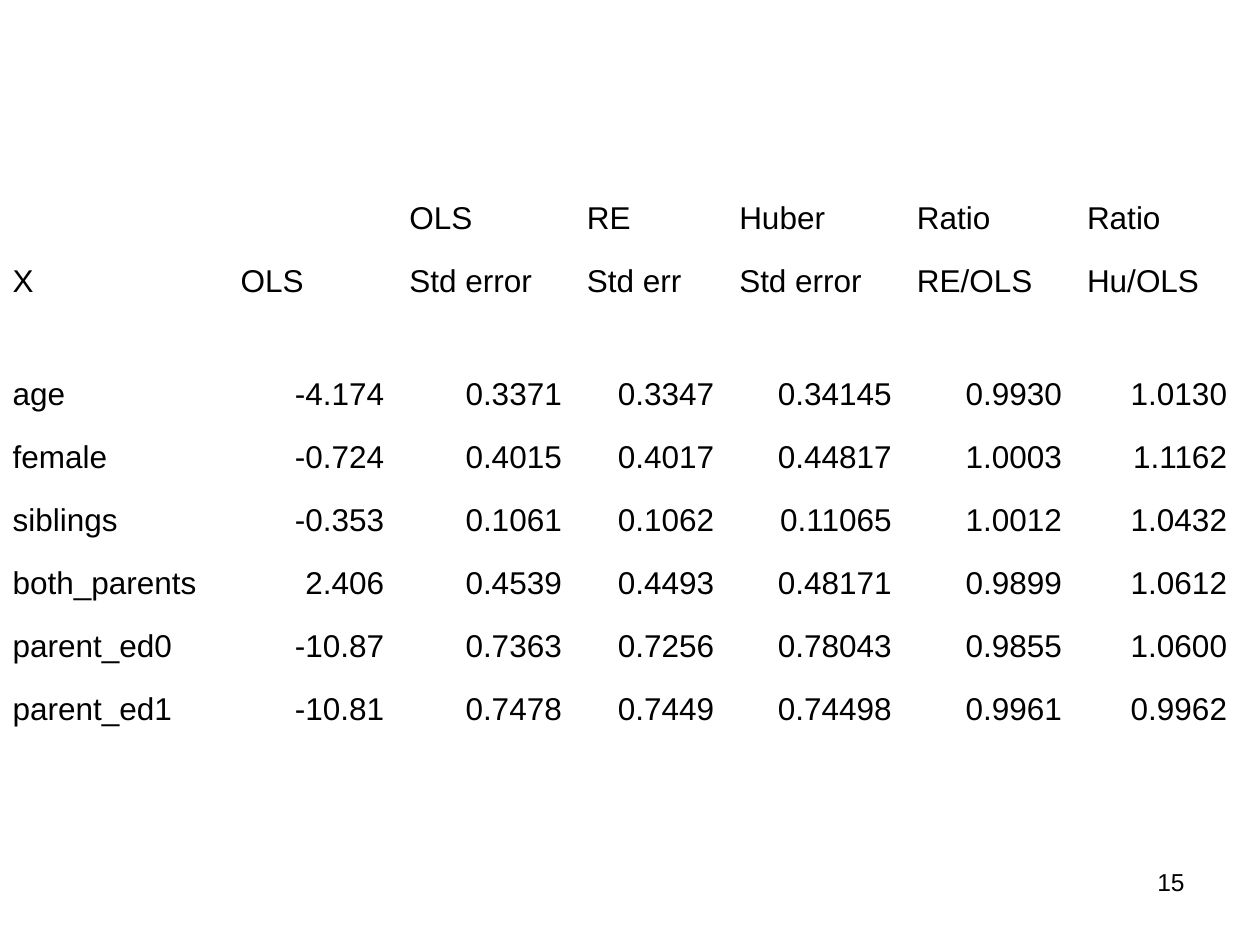
from dataclasses import dataclass

from pptx import Presentation
from pptx.dml.color import RGBColor
from pptx.enum.text import MSO_ANCHOR, PP_ALIGN
from pptx.util import Cm, Pt


@dataclass(frozen=True)
class Theme:
    """Font, colours and type sizes of the deck."""
    font: str = "Arial"
    ink: RGBColor = RGBColor(0, 0, 0)
    paper: RGBColor = RGBColor(255, 255, 255)
    table_size: int = 18
    number_size: int = 14


COL_WIDTHS = [4.6, 3.4, 3.58, 3.07, 3.58, 3.43, 3.33]
ROW_HEIGHT, GAP_HEIGHT = 1.27, 1.02
HEADER = [
    ["", "", "OLS", "RE", "Huber", "Ratio", "Ratio"],
    ["X", "OLS", "Std error", "Std err", "Std error", "RE/OLS", "Hu/OLS"],
    [""] * len(COL_WIDTHS),
]
ESTIMATES = [
    ["age", "-4.174", "0.3371", "0.3347", "0.34145", "0.9930", "1.0130"],
    ["female", "-0.724", "0.4015", "0.4017", "0.44817", "1.0003", "1.1162"],
    ["siblings", "-0.353", "0.1061", "0.1062", "0.11065", "1.0012", "1.0432"],
    ["both_parents", "2.406", "0.4539", "0.4493", "0.48171", "0.9899", "1.0612"],
    ["parent_ed0", "-10.87", "0.7363", "0.7256", "0.78043", "0.9855", "1.0600"],
    ["parent_ed1", "-10.81", "0.7478", "0.7449", "0.74498", "0.9961", "0.9962"],
]


class SlideBuilder:
    """Holds the theme and the current slide."""

    def __init__(self, s, theme):
        """Start on slide s with a plain background."""
        self.s, self.theme = s, theme
        s.background.fill.solid()
        s.background.fill.fore_color.rgb = theme.paper

    def text(self, tf, text, size, align):
        """Write one styled run into a text frame."""
        p = tf.paragraphs[0]
        p.alignment = align
        p.font.size = Pt(size)
        p.font.name = self.theme.font
        if text:
            r = p.add_run()
            r.text = text
            r.font.name = self.theme.font
            r.font.size = Pt(size)
            r.font.color.rgb = self.theme.ink

    def table(self, left, top, header, body):
        """Add a plain table with left-aligned headings and right-aligned figures."""
        rows = header + body
        heights = [ROW_HEIGHT if any(row) else GAP_HEIGHT for row in rows]
        table = self.s.shapes.add_table(
            len(rows), len(COL_WIDTHS), Cm(left), Cm(top),
            Cm(sum(COL_WIDTHS)), Cm(sum(heights))).table
        table.first_row = table.horz_banding = False
        for column, width in zip(table.columns, COL_WIDTHS):
            column.width = Cm(width)
        for i, (row, height) in enumerate(zip(rows, heights)):
            table.rows[i].height = Cm(height)
            for j, value in enumerate(row):
                cell = table.cell(i, j)
                cell.fill.background()
                cell.vertical_anchor = MSO_ANCHOR.BOTTOM
                is_figure = i >= len(header) and j > 0
                align = PP_ALIGN.RIGHT if is_figure else PP_ALIGN.LEFT
                self.text(cell.text_frame, value, self.theme.table_size, align)

    def page_number(self, left, top, width, height, number):
        """Add the right-aligned page number."""
        tf = self.s.shapes.add_textbox(
            Cm(left), Cm(top), Cm(width), Cm(height)).text_frame
        tf.word_wrap = True
        self.text(tf, number, self.theme.number_size, PP_ALIGN.RIGHT)


def main():
    """Build and save the slide."""
    prs = Presentation()
    prs.slide_width, prs.slide_height = Cm(25.4), Cm(19.05)
    slide = SlideBuilder(prs.slides.add_slide(prs.slide_layouts[6]), Theme())
    slide.page_number(18.21, 17.35, 5.92, 1.32, "15")
    slide.table(0, 3.61, HEADER, ESTIMATES)
    prs.save("out.pptx")


if __name__ == "__main__":
    main()
